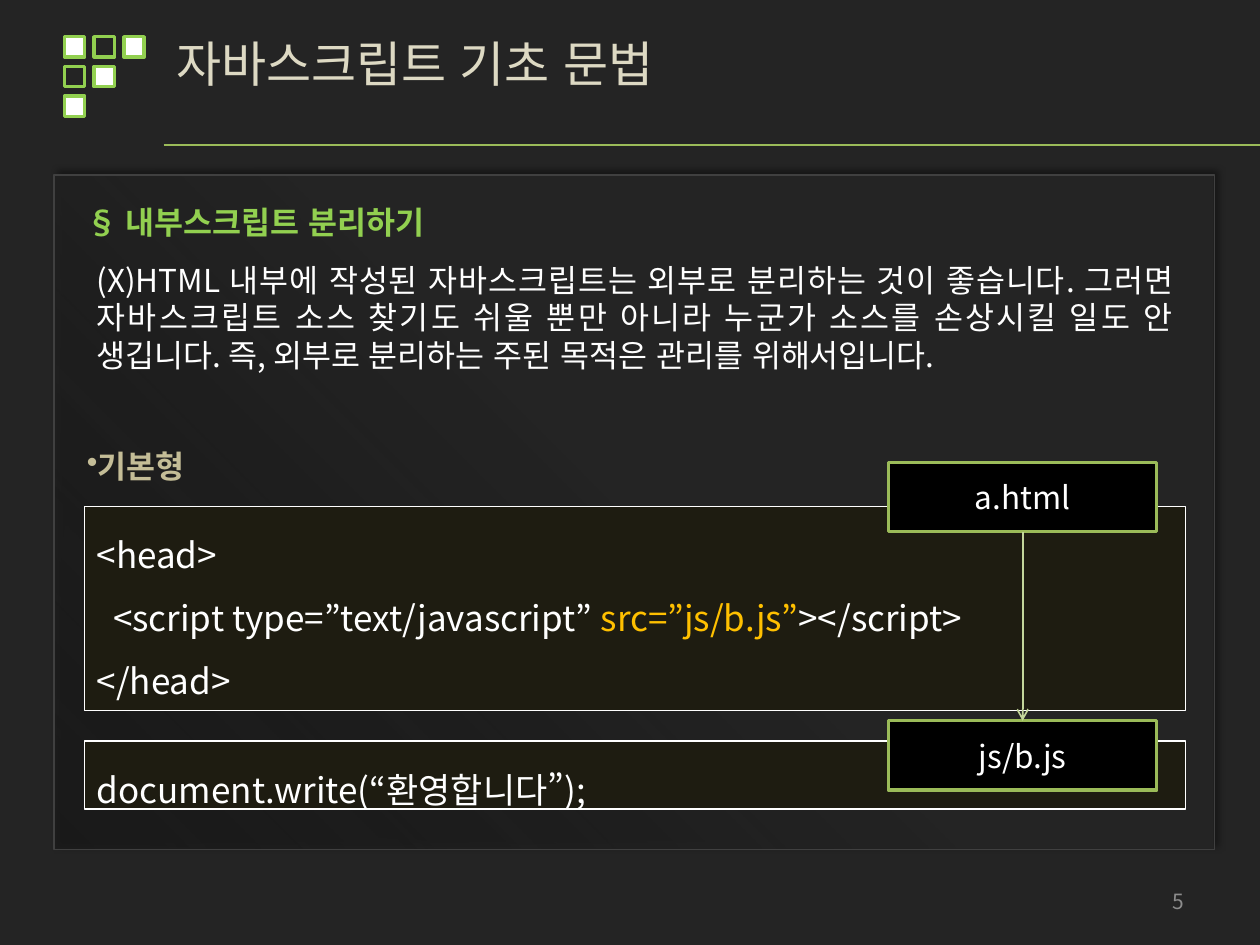
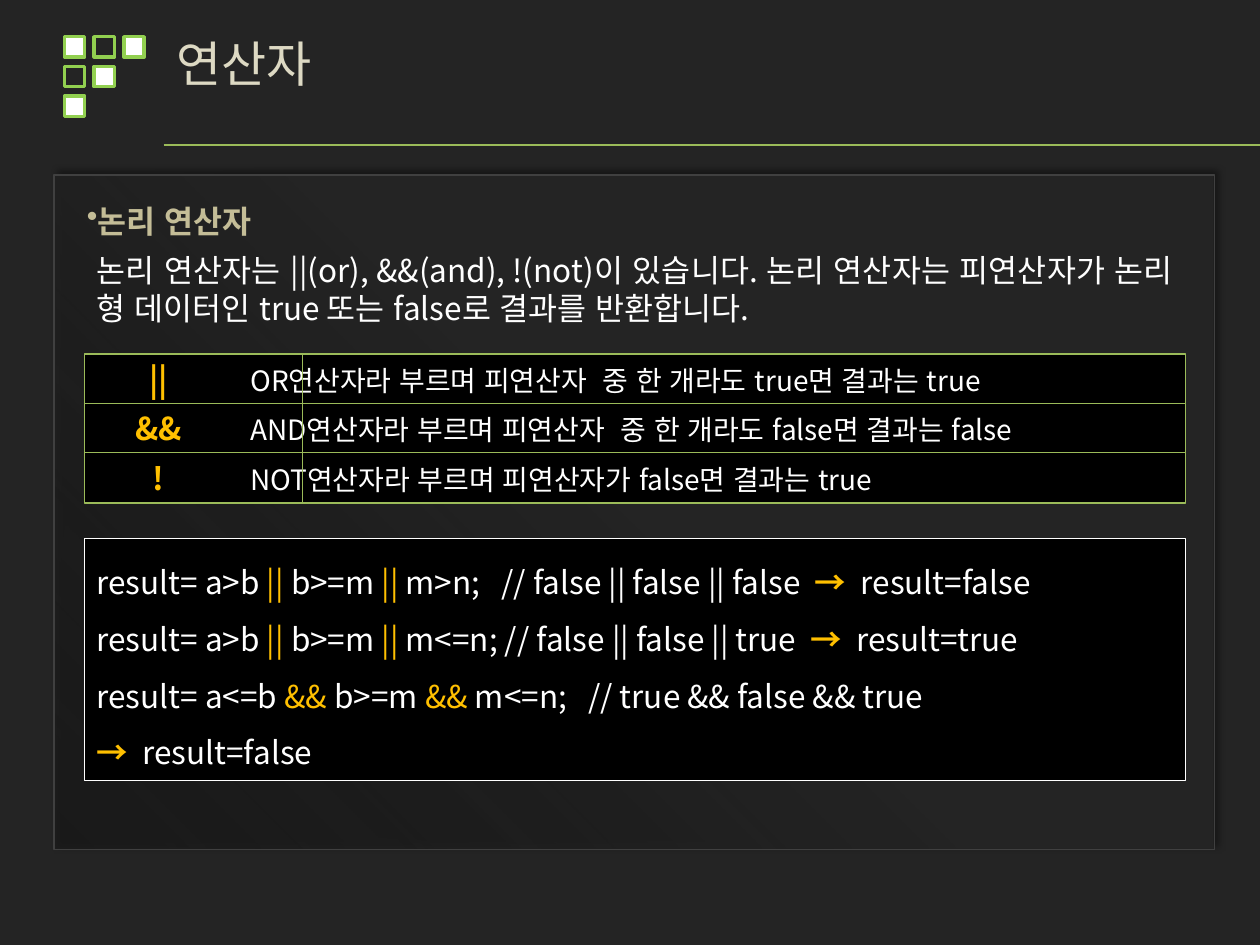
from dataclasses import dataclass
from typing import Any, NamedTuple, Optional

from lxml import etree
from pptx import Presentation
from pptx.dml.color import RGBColor
from pptx.enum.lang import MSO_LANGUAGE_ID
from pptx.enum.shapes import MSO_CONNECTOR, MSO_SHAPE
from pptx.enum.text import MSO_ANCHOR, MSO_AUTO_SIZE, PP_ALIGN
from pptx.oxml import parse_xml
from pptx.oxml.ns import nsdecls, qn
from pptx.util import Cm, Pt

RECT = MSO_SHAPE.RECTANGLE
STRAIGHT = MSO_CONNECTOR.STRAIGHT
TOP, MIDDLE = MSO_ANCHOR.TOP, MSO_ANCHOR.MIDDLE
LEFT, CENTER, RIGHT, JUSTIFY = PP_ALIGN.LEFT, PP_ALIGN.CENTER, PP_ALIGN.RIGHT, PP_ALIGN.JUSTIFY
GROW, FIXED = MSO_AUTO_SIZE.SHAPE_TO_FIT_TEXT, MSO_AUTO_SIZE.NONE
KOREAN = MSO_LANGUAGE_ID.KOREAN


@dataclass(frozen=True)
class Theme:
    font: str = "Noto Sans CJK KR"
    back: RGBColor = RGBColor(0x24, 0x24, 0x24)
    title: RGBColor = RGBColor(0xDD, 0xD9, 0xC3)
    heading: RGBColor = RGBColor(0xC4, 0xBD, 0x97)
    lime: RGBColor = RGBColor(0x92, 0xD0, 0x50)
    olive: RGBColor = RGBColor(0x9B, 0xBB, 0x59)
    pale: RGBColor = RGBColor(0xC3, 0xD6, 0x9B)
    gold: RGBColor = RGBColor(0xFF, 0xC0, 0x00)
    white: RGBColor = RGBColor(0xFF, 0xFF, 0xFF)
    black: RGBColor = RGBColor(0x00, 0x00, 0x00)
    code: RGBColor = RGBColor(0x1E, 0x1C, 0x11)
    edge: RGBColor = RGBColor(0x40, 0x40, 0x40)
    grey: RGBColor = RGBColor(0x8C, 0x8C, 0x8C)
    title_size: int = 28
    code_size: int = 20
    body_size: int = 18
    note_size: int = 16
    number_size: int = 12


T = Theme()


class Box(NamedTuple):
    left: float
    top: float
    width: float
    height: float


class Run(NamedTuple):
    text: str
    color: RGBColor = T.white
    size: int = T.body_size
    bold: bool = False


class Para(NamedTuple):
    runs: tuple[Run, ...]
    align: Any = JUSTIFY
    spacing: Optional[float] = None
    indent: float = 0
    bullet: str = ""
    tabs: tuple[tuple[float, str], ...] = ()


class Operator(NamedTuple):
    symbol: str
    meaning: str


PANEL = Box(1.09, 3.53, 23.39, 13.59)
TEXT_LEFT, TEXT_WIDTH = 1.7, 22.2
HEAD_LEFT, HEAD_WIDTH, HEAD_HEIGHT = 1.5, 22.6, 1.02
LOGO_LEFT, LOGO_TOP, LOGO_PITCH, LOGO_SIZE = 1.3, 0.74, 0.6, 0.41
LOGO_ROWS = ((True, False, True), (False, True), (True,))
ROW_TOP, ROW_PITCH, DIVIDER_X = 7.14, 0.99, 6.1
ROW_TABS = ((1.25, "ctr"), (3.1, "l"))

PANEL_FILL = (
    f'<a:gradFill {nsdecls("a")}><a:gsLst>'
    '<a:gs pos="0"><a:srgbClr val="191919"><a:alpha val="62000"/></a:srgbClr></a:gs>'
    '<a:gs pos="50000"><a:srgbClr val="242424"/></a:gs></a:gsLst>'
    '<a:path path="circle"><a:fillToRect t="100000" r="100000"/></a:path></a:gradFill>'
)
PANEL_SHADOW = (
    f'<a:outerShdw {nsdecls("a")} blurRad="50800" dist="38100" dir="18900000">'
    '<a:srgbClr val="000000"><a:alpha val="40000"/></a:srgbClr></a:outerShdw>'
)


def apply(obj: Any, values: dict[str, Any]) -> None:
    for name, value in values.items():
        setattr(obj, name, value)


def write(tf: Any, paras: list[Para], anchor: Any = TOP, fit: Any = GROW) -> None:
    apply(tf, {"word_wrap": True, "auto_size": fit, "vertical_anchor": anchor})
    for i, para in enumerate(paras):
        p = tf.add_paragraph() if i else tf.paragraphs[0]
        apply(p, {"alignment": para.align, "line_spacing": para.spacing})
        pPr = p._p.get_or_add_pPr()
        if para.indent:
            pPr.set("marL", str(Cm(para.indent)))
        if para.bullet:
            etree.SubElement(pPr, qn("a:buChar"), char=para.bullet)
        if para.tabs:
            tabs = etree.SubElement(pPr, qn("a:tabLst"))
            for pos, align in para.tabs:
                etree.SubElement(tabs, qn("a:tab"), pos=str(Cm(pos)), algn=align)
        for run in para.runs:
            r = p.add_run()
            r.text = run.text
            apply(r.font, {"name": T.font, "size": Pt(run.size), "bold": run.bold,
                           "language_id": KOREAN})
            r.font.color.rgb = run.color
            etree.SubElement(r._r.get_or_add_rPr(), qn("a:ea"), typeface=T.font)


def add_rect(s: Any, box: Box, fill: Optional[RGBColor], line: RGBColor, weight: float) -> Any:
    sp = s.shapes.add_shape(RECT, *map(Cm, box))
    sp.shadow.inherit = False
    if fill is None:
        sp.fill.background()
    else:
        sp.fill.solid()
        sp.fill.fore_color.rgb = fill
    sp.line.color.rgb = line
    sp.line.width = Pt(weight)
    return sp


def add_line(s: Any, start: tuple[float, float], end: tuple[float, float],
             color: RGBColor, weight: float, arrow: bool = False) -> None:
    c = s.shapes.add_connector(STRAIGHT, *map(Cm, start + end))
    c.line.color.rgb = color
    c.line.width = Pt(weight)
    spPr = c._element.spPr
    if arrow:
        etree.SubElement(spPr.find(qn("a:ln")), qn("a:tailEnd"), type="arrow")
    etree.SubElement(spPr, qn("a:effectLst"))


def add_text(s: Any, box: Box, para: Para, anchor: Any = TOP, fit: Any = GROW) -> None:
    write(s.shapes.add_textbox(*map(Cm, box)).text_frame, [para], anchor, fit)


def add_heading(s: Any, top: float, text: str, color: RGBColor = T.heading,
                bullet: str = "•") -> None:
    add_text(s, Box(HEAD_LEFT, top, HEAD_WIDTH, HEAD_HEIGHT),
             Para((Run(text, color, bold=True),), LEFT, bullet=bullet))


def add_body(s: Any, top: float, height: float, text: str) -> None:
    add_text(s, Box(TEXT_LEFT, top, TEXT_WIDTH, height), Para((Run(text),)))


def add_code(s: Any, top: float, height: float, fill: RGBColor, paras: list[Para]) -> None:
    sp = add_rect(s, Box(TEXT_LEFT, top, TEXT_WIDTH, height), fill, T.white, 0.75)
    write(sp.text_frame, paras)


def code_line(*runs: Run, indent: float = 0) -> Para:
    return Para(runs, spacing=1.5, indent=indent)


def add_panel(s: Any) -> None:
    sp = add_rect(s, PANEL, T.back, T.edge, 0.75)
    spPr = sp._element.spPr
    spPr.replace(spPr.find(qn("a:solidFill")), parse_xml(PANEL_FILL))
    spPr.find(qn("a:effectLst")).append(parse_xml(PANEL_SHADOW))


def add_slide(prs: Any, title: str) -> Any:
    s = prs.slides.add_slide(prs.slide_layouts[6])
    s.background.fill.solid()
    s.background.fill.fore_color.rgb = T.back
    for row, cells in enumerate(LOGO_ROWS):
        for col, filled in enumerate(cells):
            box = Box(LOGO_LEFT + col * LOGO_PITCH, LOGO_TOP + row * LOGO_PITCH,
                      LOGO_SIZE, LOGO_SIZE)
            add_rect(s, box, T.white if filled else None, T.lime, 2)
    add_line(s, (3.3, 2.92), (25.4, 2.92), T.olive, 1.25)
    add_panel(s)
    add_text(s, Box(3.3, 0.56, 22, 2.16),
             Para((Run(title, T.title, T.title_size),), LEFT), fit=FIXED)
    return s


def add_file(s: Any, box: Box, name: str) -> None:
    sp = add_rect(s, box, T.black, T.olive, 2)
    write(sp.text_frame, [Para((Run(name),), CENTER)], MIDDLE, FIXED)


def add_operator(s: Any, index: int, op: Operator) -> None:
    top = ROW_TOP + index * ROW_PITCH
    sp = add_rect(s, Box(TEXT_LEFT, top, TEXT_WIDTH, 1.02), T.black, T.olive, 0.75)
    runs = (Run(f"\t{op.symbol}\t", T.gold, bold=True), Run(op.meaning, size=T.note_size))
    write(sp.text_frame, [Para(runs, tabs=ROW_TABS)])
    add_line(s, (DIVIDER_X, top), (DIVIDER_X, top + ROW_PITCH), T.olive, 0.75)


def expression(first: str, op: str, last: str) -> tuple[Run, ...]:
    sign = Run(op, T.gold)
    return Run(f"result= {first} "), sign, Run(" b>=m "), sign, Run(f" {last}")


def outcome(value: str) -> tuple[Run, ...]:
    return Run("→  ", T.gold, bold=True), Run(f"result={value}")


def build_script_slide(prs: Any) -> None:
    s = add_slide(prs, "자바스크립트 기초 문법")
    add_text(s, Box(18.21, 17.65, 5.92, 1.02),
             Para((Run("5", T.grey, T.number_size),), RIGHT), MIDDLE, FIXED)
    size = T.code_size
    add_code(s, 10.21, 4.11, T.code, [
        code_line(Run("<head>", size=size)),
        code_line(Run("<script type=”text/javascript” ", size=size),
                  Run("src=”js/b.js”", T.gold, size),
                  Run("></script>", size=size), indent=0.33),
        code_line(Run("</head>", size=size)),
    ])
    add_heading(s, 8.89, "기본형")
    add_heading(s, 3.96, "§ 내부스크립트 분리하기", T.lime, "")
    add_body(s, 5.13, 2.57,
             "(X)HTML 내부에 작성된 자바스크립트는 외부로 분리하는 것이 좋습니다. 그러면 "
             "자바스크립트 소스 찾기도 쉬울 뿐만 아니라 누군가 소스를 손상시킬 일도 안 "
             "생깁니다. 즉, 외부로 분리하는 주된 목적은 관리를 위해서입니다.")
    add_code(s, 14.94, 1.37, T.code,
             [code_line(Run("document.write(“환영합니다”);", size=size))])
    page = Box(17.91, 9.32, 5.41, 1.4)
    script = page._replace(top=14.53)
    add_file(s, page, "a.html")
    add_file(s, script, "js/b.js")
    mid = page.left + page.width / 2
    add_line(s, (mid, page.top + page.height), (mid, script.top), T.pale, 1, arrow=True)


def build_operator_slide(prs: Any) -> None:
    s = add_slide(prs, "연산자")
    add_heading(s, 3.94, "논리 연산자")
    add_body(s, 4.93, 1.8,
             "논리 연산자는 ||(or), &&(and), !(not)이 있습니다. 논리 연산자는 피연산자가 "
             "논리 형 데이터인 true 또는 false로 결과를 반환합니다.")
    operators = (
        Operator("||", "OR연산자라 부르며 피연산자  중 한 개라도 true면 결과는 true"),
        Operator("&&", "AND연산자라 부르며 피연산자  중 한 개라도 false면 결과는 false"),
        Operator("!", "NOT연산자라 부르며 피연산자가 false면 결과는 true"),
    )
    for i, op in enumerate(operators):
        add_operator(s, i, op)
    add_code(s, 10.85, 4.88, T.black, [
        code_line(*expression("a>b", "||", "m>n;   // false || false || false  "),
                  *outcome("false")),
        code_line(*expression("a>b", "||", "m<=n; // false || false || true  "),
                  *outcome("true")),
        code_line(*expression("a<=b", "&&", "m<=n;   // true && false && true")),
        code_line(*outcome("false")),
    ])


def main() -> None:
    prs = Presentation()
    apply(prs, {"slide_width": Cm(25.4), "slide_height": Cm(19.05)})
    build_script_slide(prs)
    build_operator_slide(prs)
    prs.save("out.pptx")


main()
